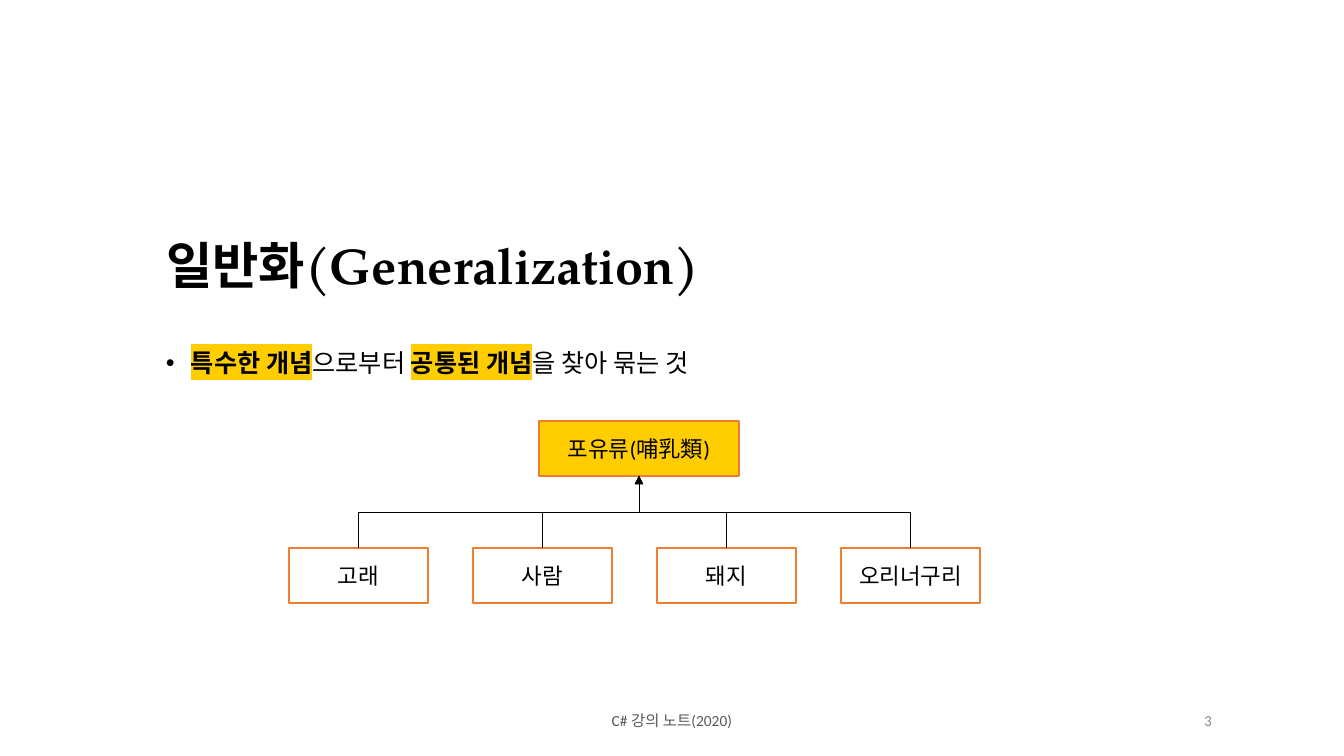
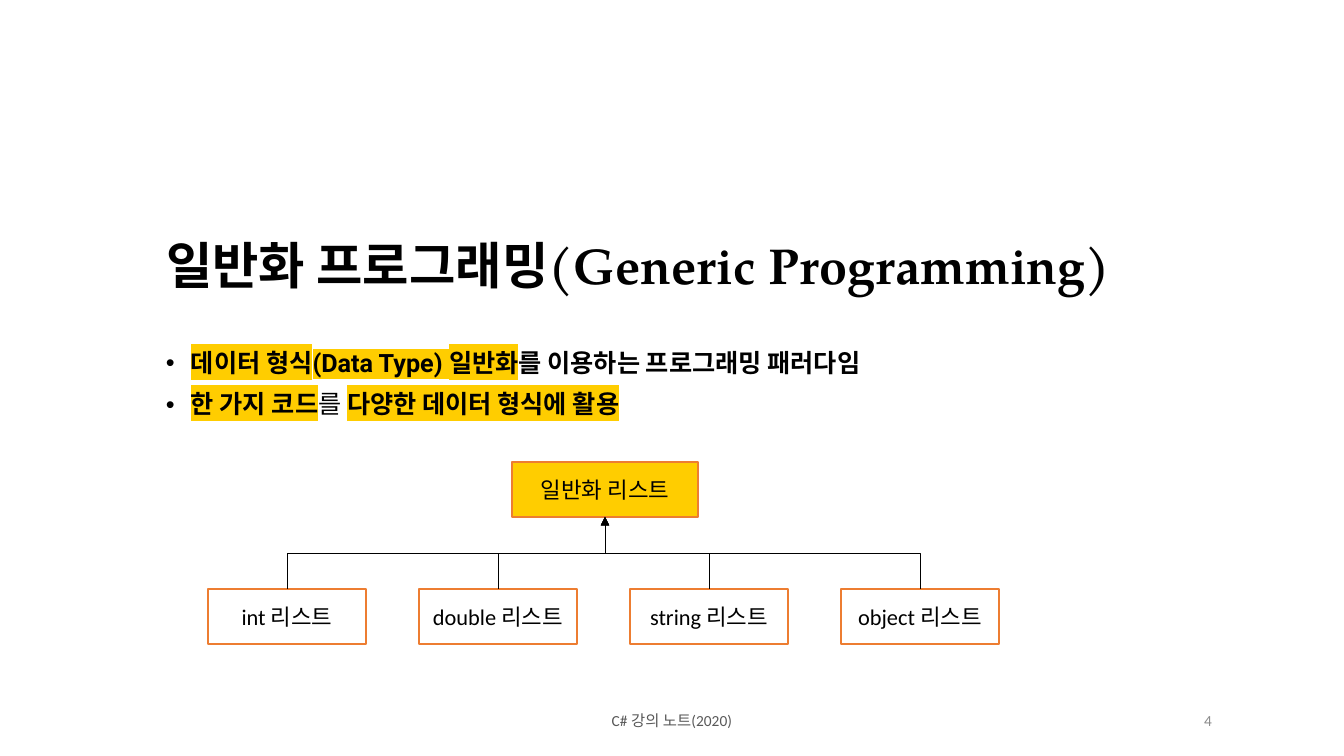
from lxml import etree
from pptx import Presentation
from pptx import util as u
from pptx.dml.color import RGBColor
from pptx.enum import shapes, text
from pptx.oxml.ns import qn

# Content: bullet runs are (words, bold, highlighted)
FOOTER = "C# 강의 노트(2020)"
SLIDES = [
    {
        "number": 3,
        "title": "일반화(Generalization)",
        "bullets": [
            [("특수한 개념", True, True), ("으로부터 ", False, False),
             ("공통된 개념", True, True), ("을 찾아 묶는 것", False, False)],
        ],
        "parent": ("포유류(哺乳類)", 539, 421, 200),
        "children": ["고래", "사람", "돼지", "오리너구리"],
        "row": (289, 139, 184),  # left, box width, pitch
    },
    {
        "number": 4,
        "title": "일반화 프로그래밍(Generic Programming)",
        "bullets": [
            [("데이터 형식(Data Type) 일반화", True, True),
             ("를 이용하는 프로그래밍 패러다임", True, False)],
            [("한 가지 코드", True, True), ("를 ", False, False),
             ("다양한 데이터 형식에 활용", True, True)],
        ],
        "parent": ("일반화 리스트", 512, 462, 186),
        "children": ["int 리스트", "double 리스트", "string 리스트", "object 리스트"],
        "row": (208, 158, 211),
    },
]

# Shared style
BLACK, WHITE, YELLOW, ORANGE = "000000", "FFFFFF", "FFCD00", "ED7D31"
FOOTER_GRAY, NUMBER_GRAY = "595959", "8C8C8C"
TITLE_FONT, BULLET_FONT, BODY_FONT = "TeX Gyre Pagella", "Roboto", "Calibri"
BOX_HEIGHT, LEVEL_DROP = 55, 127
LEFT, CENTER, RIGHT = text.PP_ALIGN.LEFT, text.PP_ALIGN.CENTER, text.PP_ALIGN.RIGHT


def px(pixels):
    return u.Emu(round(pixels * 914400 / 100.8))


def color(hex_string):
    return RGBColor.from_string(hex_string)


def place(shape, left, top, width, height):
    shape.left, shape.top = px(left), px(top)
    shape.width, shape.height = px(width), px(height)


def style(paragraph, font_name, size, hex_string, align=LEFT, bold=None):
    paragraph.alignment = align
    font = paragraph.font
    font.name, font.size, font.bold = font_name, u.Pt(size), bold
    font.color.rgb = color(hex_string)


def add_text_box(slide, left, top, width, height):
    box = slide.shapes.add_textbox(px(left), px(top), px(width), px(height))
    box.text_frame.word_wrap = True
    box.text_frame.vertical_anchor = text.MSO_ANCHOR.MIDDLE
    return box.text_frame


def add_title(slide, words):
    title = slide.shapes.title
    place(title, 156, 231, 1056, 74)
    frame = title.text_frame
    frame.auto_size = text.MSO_AUTO_SIZE.NONE
    frame.vertical_anchor = text.MSO_ANCHOR.MIDDLE
    frame.text = words
    paragraph = frame.paragraphs[0]
    style(paragraph, TITLE_FONT, 36, BLACK, bold=True)
    paragraph.line_spacing = 0.9


def add_bullets(slide, bullets):
    frame = add_text_box(slide, 156, 341, 1056, 90)
    frame.vertical_anchor = text.MSO_ANCHOR.TOP
    frame.margin_top = px(10)
    for index, runs in enumerate(bullets):
        paragraph = frame.add_paragraph() if index else frame.paragraphs[0]
        paragraph.line_spacing = 0.9
        paragraph.space_before = u.Pt(10 if index else 0)
        properties = paragraph._p.get_or_add_pPr()
        properties.set("marL", str(px(25)))
        properties.set("indent", str(-px(25)))
        etree.SubElement(properties, qn("a:buFont"), typeface="Arial")
        etree.SubElement(properties, qn("a:buChar"), char="•")
        style(paragraph, BULLET_FONT, 18, BLACK)
        for words, bold, highlighted in runs:
            run = paragraph.add_run()
            run.text, run.font.bold = words, bold
            if highlighted:
                highlight = etree.SubElement(run._r.get_or_add_rPr(), qn("a:highlight"))
                etree.SubElement(highlight, qn("a:srgbClr"), val=YELLOW)


def add_box(slide, words, left, top, width, fill):
    box = slide.shapes.add_shape(shapes.MSO_SHAPE.RECTANGLE,
                                 px(left), px(top), px(width), px(BOX_HEIGHT))
    box.shadow.inherit = False
    box.fill.solid()
    box.fill.fore_color.rgb = color(fill)
    box.line.color.rgb = color(ORANGE)
    box.line.width = u.Pt(1)
    box.text_frame.vertical_anchor = text.MSO_ANCHOR.MIDDLE
    box.text_frame.text = words
    style(box.text_frame.paragraphs[0], BODY_FONT, 16, BLACK, CENTER)
    return box


def add_arrow(slide, child, parent):
    """Elbow from the top of the child up to the bottom of the parent."""
    arrow = slide.shapes.add_connector(shapes.MSO_CONNECTOR.ELBOW, 0, 0, 0, 0)
    arrow.begin_connect(child, 0)
    arrow.end_connect(parent, 2)
    start_x = child.left + child.width // 2
    end_x = parent.left + parent.width // 2
    end_y = parent.top + parent.height
    # A quarter turn makes the elbow leave vertically, so the sides swap
    rise, run = child.top - end_y, abs(end_x - start_x)
    arrow.width, arrow.height = rise, run
    arrow.left = (start_x + end_x - rise) // 2
    arrow.top = (child.top + end_y - run) // 2
    rightward = start_x < end_x
    properties = arrow._element.spPr
    frame = properties.find(qn("a:xfrm"))
    frame.set("rot", str((90 if rightward else 270) * 60000))
    frame.set("flipH", "1" if rightward else "0")
    frame.set("flipV", "1")
    arrow.line.color.rgb = color(BLACK)
    arrow.line.width = u.Pt(0.5)
    etree.SubElement(arrow.line._get_or_add_ln(), qn("a:tailEnd"), type="triangle")
    etree.SubElement(properties, qn("a:effectLst"))


def add_hierarchy(slide, parent, children, row):
    words, parent_left, top, parent_width = parent
    left, width, pitch = row
    parent_box = add_box(slide, words, parent_left, top, parent_width, YELLOW)
    for index, child in enumerate(children):
        child_box = add_box(slide, child, left + index * pitch,
                            top + LEVEL_DROP, width, WHITE)
        add_arrow(slide, child_box, parent_box)


def add_footer(slide, number):
    paragraph = add_text_box(slide, 445, 700, 454, 40).paragraphs[0]
    paragraph.text = FOOTER
    style(paragraph, BODY_FONT, 11, FOOTER_GRAY, CENTER)
    paragraph = add_text_box(slide, 950, 700, 272, 40).paragraphs[0]
    style(paragraph, BODY_FONT, 11, NUMBER_GRAY, RIGHT)
    field = etree.SubElement(paragraph._p, qn("a:fld"), type="slidenum",
                             id="{B6F15528-21DE-4FAA-801E-634DDDAF4B2B}")
    etree.SubElement(field, qn("a:rPr"), lang="en-US")
    etree.SubElement(field, qn("a:t")).text = str(number)


# Build
presentation = Presentation()
presentation.slide_width, presentation.slide_height = px(1344), px(756)
presentation.element.set("firstSlideNum", str(SLIDES[0]["number"]))
title_only = presentation.slide_layouts[5]
for content in SLIDES:
    slide = presentation.slides.add_slide(title_only)
    add_title(slide, content["title"])
    add_bullets(slide, content["bullets"])
    add_hierarchy(slide, content["parent"], content["children"], content["row"])
    add_footer(slide, content["number"])
presentation.save("out.pptx")
